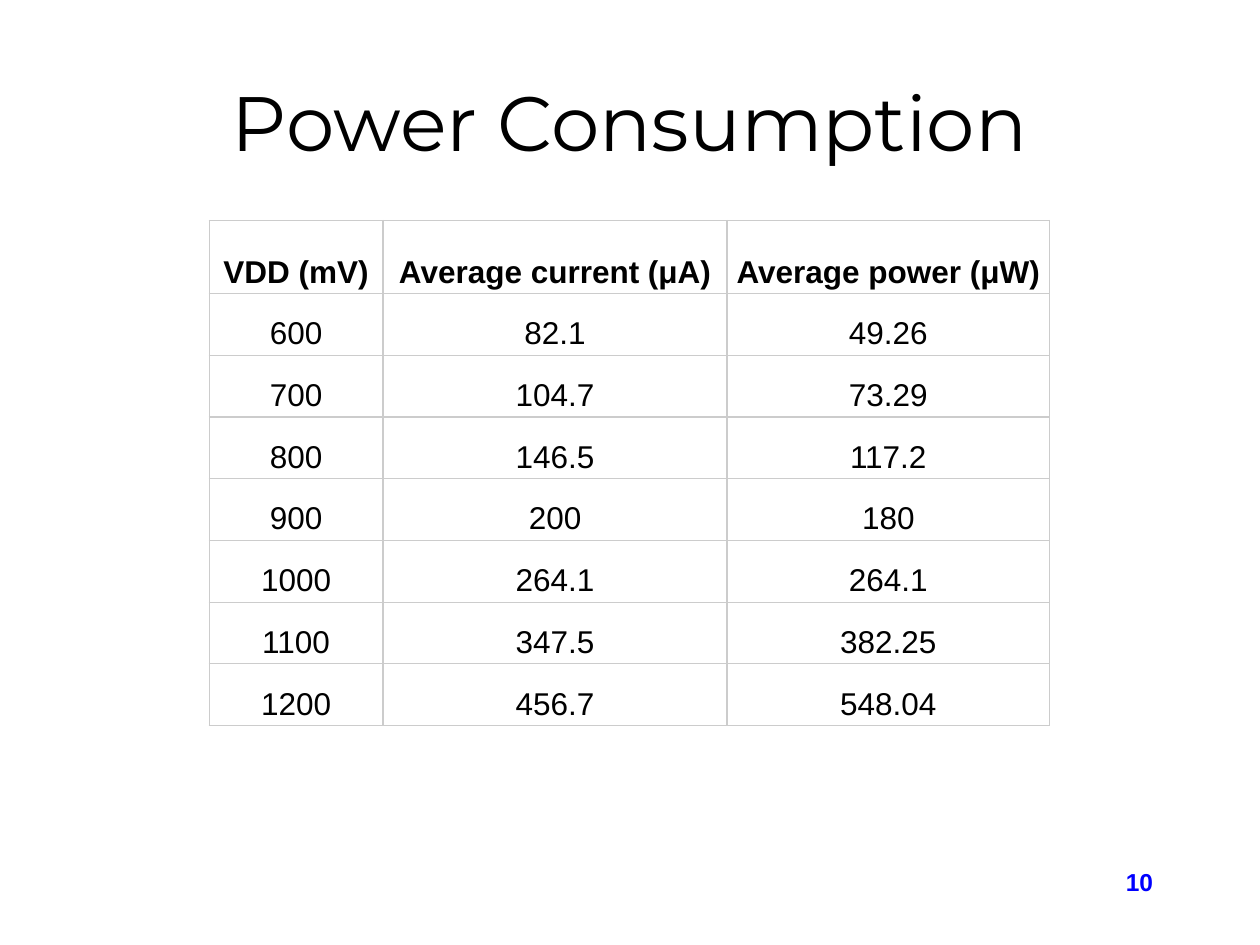
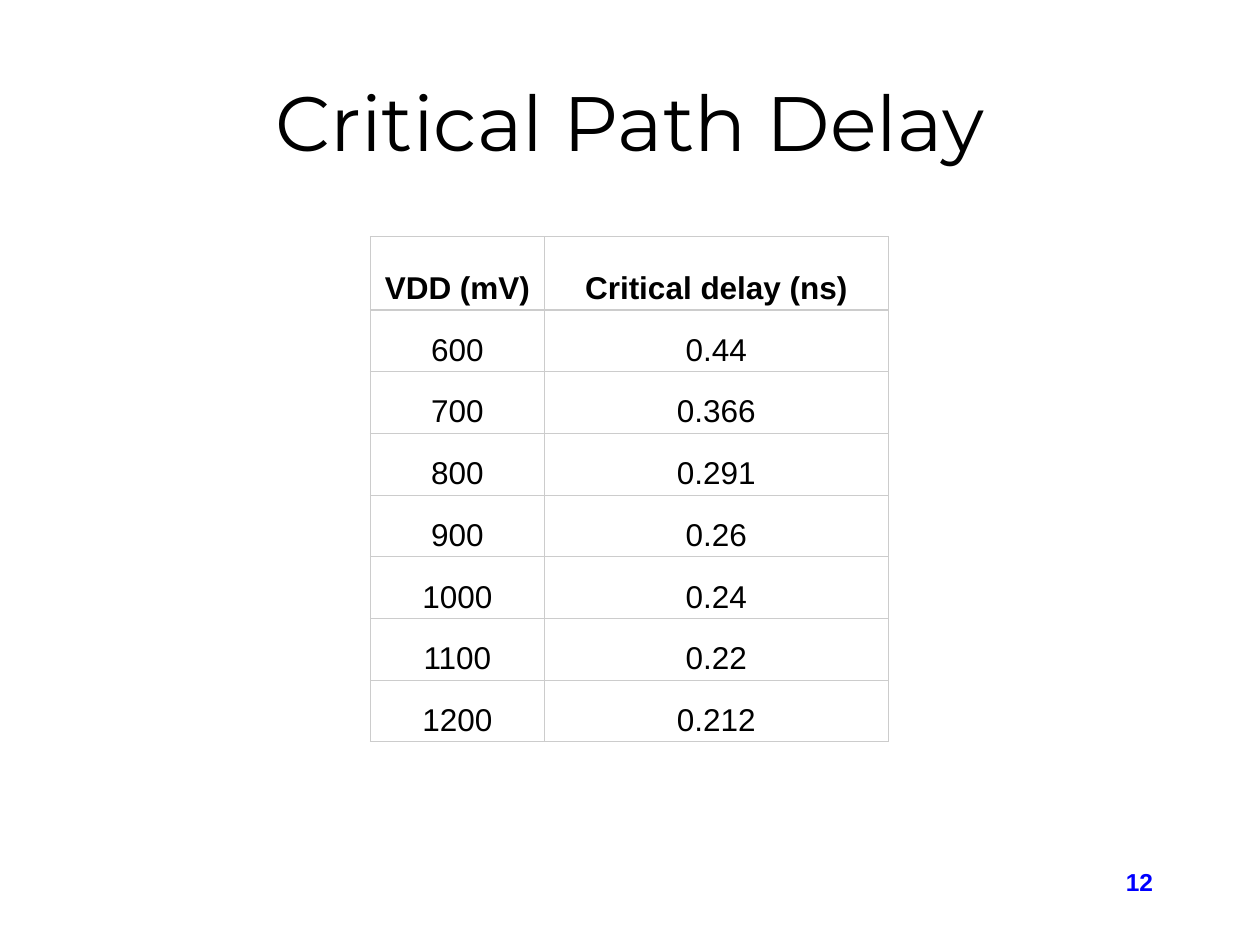
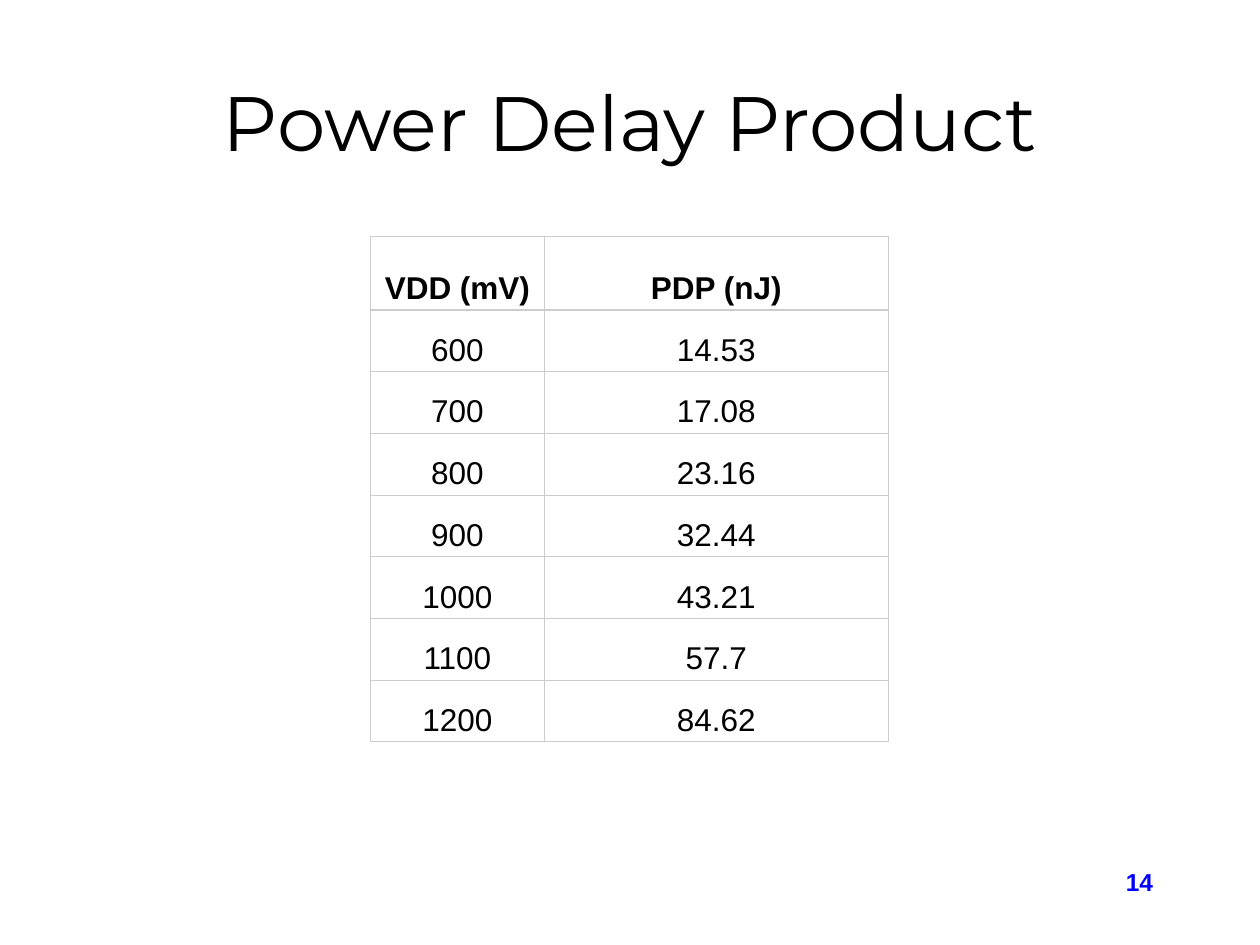
from lxml.etree import SubElement
from pptx import Presentation
from pptx.dml.color import RGBColor
from pptx.enum.text import MSO_ANCHOR, PP_ALIGN
from pptx.oxml.ns import qn
from pptx.util import Pt

PX = 9144  # 100 px to the inch
WIDTH, HEIGHT = 1000, 750

BLACK = RGBColor(0x00, 0x00, 0x00)
BLUE = RGBColor(0x00, 0x00, 0xFF)
GRID = RGBColor(0xCC, 0xCC, 0xCC)

TITLE_BOX = (75, 58, 850, 75)
NUMBER_BOX = (717, 683, 208, 50)
HEAD_ROW, BODY_ROW = 58, 49
CELL_PAD = 3

VDD = ["VDD (mV)", "600", "700", "800", "900", "1000", "1100", "1200"]
CURRENT = ["Average current (μA)", "82.1", "104.7", "146.5", "200", "264.1", "347.5", "456.7"]
POWER = ["Average power (μW)", "49.26", "73.29", "117.2", "180", "264.1", "382.25", "548.04"]
DELAY = ["Critical delay (ns)", "0.44", "0.366", "0.291", "0.26", "0.24", "0.22", "0.212"]
PDP = ["PDP (nJ)", "14.53", "17.08", "23.16", "32.44", "43.21", "57.7", "84.62"]

# title, page number, table top, column widths, columns
SLIDES = [
    ("Power Consumption", 10, 175, (138, 273, 256), (VDD, CURRENT, POWER)),
    ("Critical Path Delay", 12, 188, (138, 273), (VDD, DELAY)),
    ("Power Delay Product", 14, 188, (138, 273), (VDD, PDP)),
]


def write(frame, text, align, size, font="Arial", color=BLACK, bold=False):
    frame.text = text
    para = frame.paragraphs[0]
    para.alignment = align
    face = para.runs[0].font
    face.name, face.size, face.bold = font, Pt(size), bold
    face.color.rgb = color
    return para


def add_text(slide, box, text, align, size, anchor=MSO_ANCHOR.TOP, **style):
    frame = slide.shapes.add_textbox(*(n * PX for n in box)).text_frame
    frame.word_wrap = True
    frame.vertical_anchor = anchor
    write(frame, text, align, size, **style)


def add_borders(cell):
    props = cell._tc.get_or_add_tcPr()
    for side in ("lnL", "lnR", "lnT", "lnB"):
        line = SubElement(props, qn(f"a:{side}"), w=str(Pt(0.75)))
        fill = SubElement(line, qn("a:solidFill"))
        SubElement(fill, qn("a:srgbClr"), val=str(GRID))


def fill_cell(cell, text, bold):
    add_borders(cell)
    cell.fill.background()
    cell.vertical_anchor = MSO_ANCHOR.BOTTOM
    cell.margin_left = cell.margin_right = CELL_PAD * PX
    cell.margin_top = cell.margin_bottom = CELL_PAD * PX
    para = write(cell.text_frame, text, PP_ALIGN.CENTER, 18, bold=bold)
    para.line_spacing = 1.15


def add_grid(slide, top, widths, columns):
    """Centre a table of the given columns across the slide."""
    heights = [HEAD_ROW] + [BODY_ROW] * (len(columns[0]) - 1)
    wide, high = sum(widths), sum(heights)
    left = (WIDTH - wide) // 2
    table = slide.shapes.add_table(
        len(heights), len(widths), left * PX, top * PX, wide * PX, high * PX
    ).table
    table.first_row = table.horz_banding = False
    for row, height in zip(table.rows, heights):
        row.height = height * PX
    for col, (width, values) in enumerate(zip(widths, columns)):
        table.columns[col].width = width * PX
        for row, value in enumerate(values):
            fill_cell(table.cell(row, col), value, bold=row == 0)


def add_slide(deck, title, number, top, widths, columns):
    slide = deck.slides.add_slide(deck.slide_layouts[6])
    add_text(slide, TITLE_BOX, title, PP_ALIGN.CENTER, 44,
             anchor=MSO_ANCHOR.MIDDLE, font="Montserrat")
    add_text(slide, NUMBER_BOX, str(number), PP_ALIGN.RIGHT, 14,
             color=BLUE, bold=True)
    add_grid(slide, top, widths, columns)


def main():
    deck = Presentation()
    deck.slide_width, deck.slide_height = WIDTH * PX, HEIGHT * PX
    for content in SLIDES:
        add_slide(deck, *content)
    deck.save("out.pptx")


if __name__ == "__main__":
    main()
